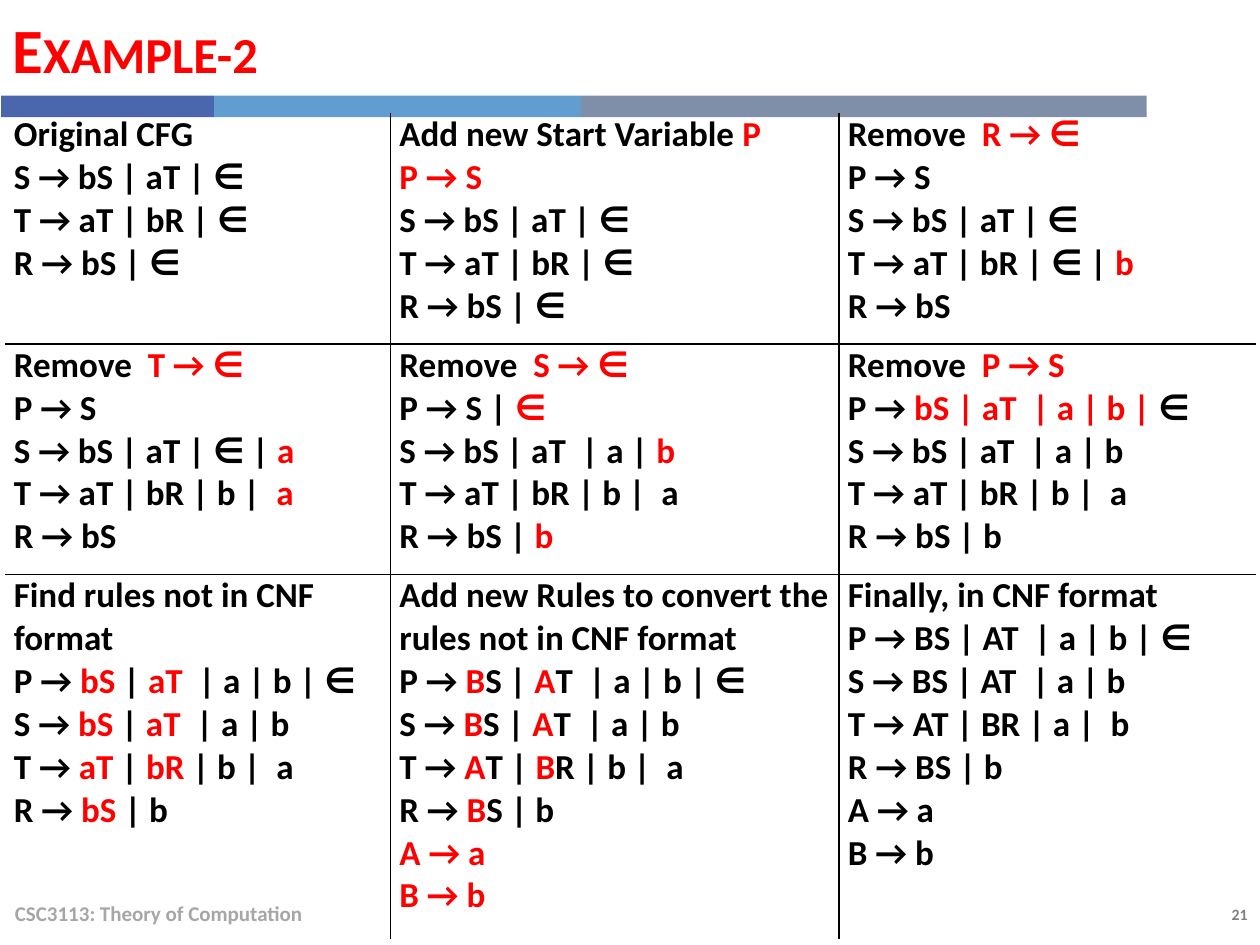
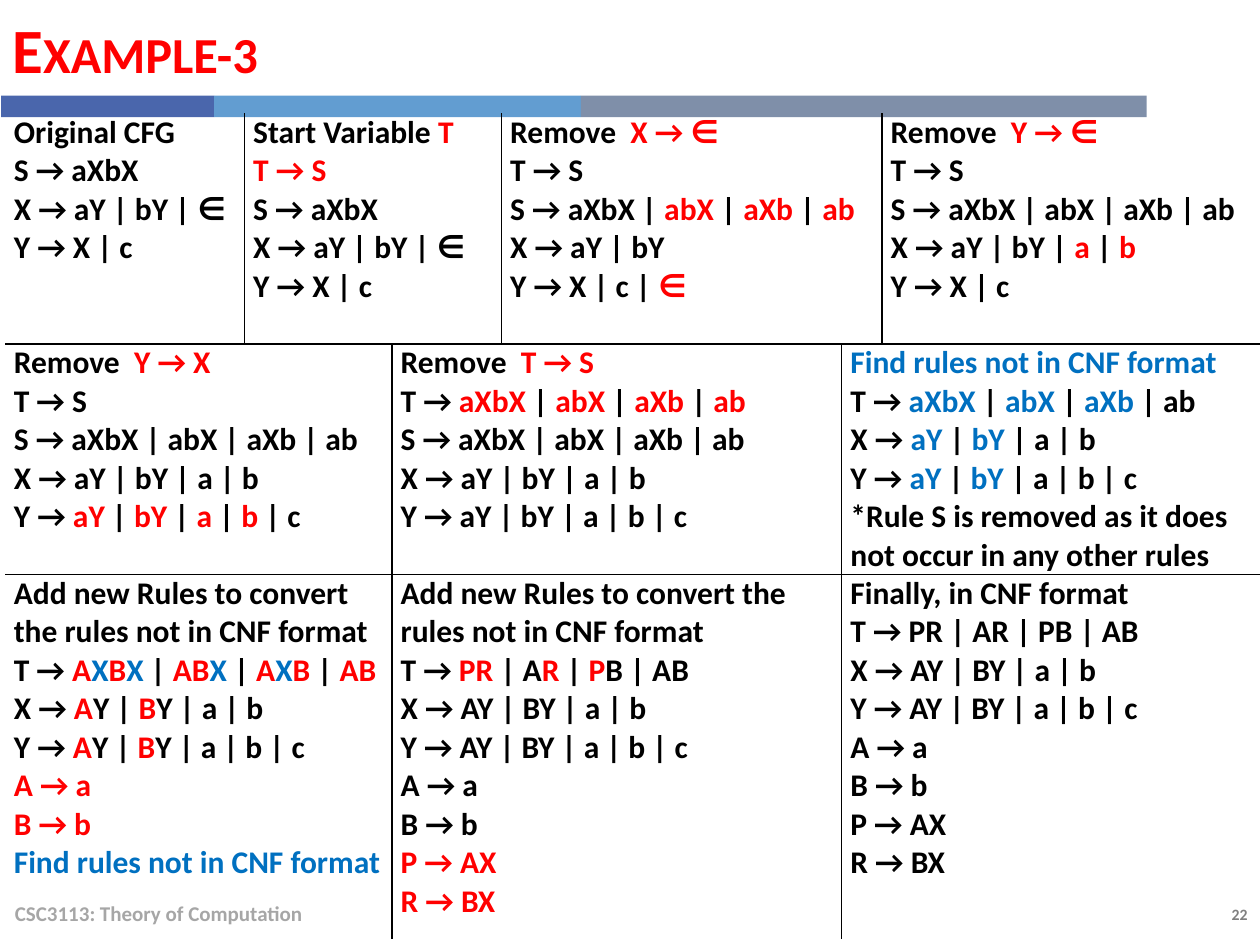
"""Build two slides that turn grammars into Chomsky normal form."""
from lxml import etree
from pptx import Presentation
from pptx import util as u
from pptx.dml.color import RGBColor
from pptx.enum import shapes, text
from pptx.oxml import ns

SCALE = 9144
FONT = "Calibri"
COLORS = {
    "red": "FF0000",
    "blue": "0070C0",
    "black": "000000",
    "foot": "A6A6A6",
    "page": "808080",
    "navy": "4A66AC",
    "sky": "629DD1",
    "slate": "7F8FA9",
}
MARKS = {"{": "red", "<": "blue", "}": "black", ">": "black"}
BANDS = [("navy", 1, 170), ("sky", 170, 461), ("slate", 461, 910)]
ROWS = [183, 183, 289]

CELLS_2 = [
    [
        ["Original CFG", "S → bS | aT | ∈", "T → aT | bR | ∈", "R → bS | ∈"],
        ["Add new Start Variable {P}", "{P → S}", "S → bS | aT | ∈",
         "T → aT | bR | ∈", "R → bS | ∈"],
        ["Remove  {R → ∈}", "P → S", "S → bS | aT | ∈",
         "T → aT | bR | ∈ | {b}", "R → bS"],
    ],
    [
        ["Remove  {T → ∈}", "P → S", "S → bS | aT | ∈ | {a}",
         "T → aT | bR | b |  {a}", "R → bS"],
        ["Remove  {S → ∈}", "P → S | {∈}", "S → bS | aT  | a | {b}",
         "T → aT | bR | b |  a", "R → bS | {b}"],
        ["Remove  {P → S}", "P → {bS | aT  | a | b | }∈",
         "S → bS | aT  | a | b", "T → aT | bR | b |  a", "R → bS | b"],
    ],
    [
        ["Find rules not in CNF format", "P → {bS} | {aT}  | a | b | ∈",
         "S → {bS} | {aT}  | a | b", "T → {aT} | {bR }| b |  a",
         "R → {bS }| b"],
        ["Add new Rules to convert the rules not in CNF format",
         "P → {B}S | {A}T  | a | b | ∈", "S → {B}S | {A}T  | a | b",
         "T → {A}T | {B}R | b |  a", "R → {B}S | b", "{A → a}", "{B → b}"],
        ["Finally, in CNF format", "P → BS | AT  | a | b | ∈",
         "S → BS | AT  | a | b", "T → AT | BR | a |  b", "R → BS | b",
         "A → a", "B → b"],
    ],
]

CELLS_3 = [
    [
        ["Original CFG", "S → aXbX", "X → aY | bY | ∈", "Y → X | c"],
        ["Start Variable {T}", "{T → S}", "S → aXbX", "X → aY | bY | ∈",
         "Y → X | c"],
        ["Remove  {X → ∈}", "T → S", "S → aXbX | {abX} | {aXb} | {ab}",
         "X → aY | bY", "Y → X | c | {∈}"],
        ["Remove  {Y → ∈}", "T → S", "S → aXbX | abX | aXb | ab",
         "X → aY | bY | {a} | {b}", "Y → X | c"],
    ],
    [
        ["Remove  {Y → X}", "T → S", "S → aXbX | abX | aXb | ab",
         "X → aY | bY | a | b", "Y → {aY} | {bY} | {a} | {b} | c"],
        ["Remove  {T → S}", "T → {aXbX} | {abX} | {aXb} | {ab}",
         "S → aXbX | abX | aXb | ab", "X → aY | bY | a | b",
         "Y → aY | bY | a | b | c"],
        ["<Find rules not in CNF format>",
         "T → <aXbX> | <abX> | <aXb> | ab", "X → <aY> | <bY> | a | b",
         "Y → <aY> | <bY> | a | b | c",
         "*Rule S is removed as it does not occur in any other rules"],
    ],
    [
        ["Add new Rules to convert the rules not in CNF format",
         "T → {A}<X>{B}<X> | {AB}<X> | {A}<X>{B} | {AB}",
         "X → {A}Y | {B}Y | a | b", "Y → {A}Y | {B}Y | a | b | c",
         "{A → a}", "{B → b}", "<Find rules not in CNF format>"],
        ["Add new Rules to convert the rules not in CNF format",
         "T → {PR} | A{R} | {P}B | AB", "X → AY | BY | a | b",
         "Y → AY | BY | a | b | c", "A → a", "B → b", "{P → AX}",
         "{R → BX}"],
        ["Finally, in CNF format", "T → PR | AR | PB | AB",
         "X → AY | BY | a | b", "Y → AY | BY | a | b | c", "A → a",
         "B → b", "P → AX", "R → BX"],
    ],
]


def px(num):
    """Turn px into EMU."""
    return u.Emu(num * SCALE)


def tint(name):
    """Look up a named colour."""
    return RGBColor.from_string(COLORS[name])


def style(para, size):
    """Set the bold deck font on a paragraph."""
    para.font.name = FONT
    para.font.size = u.Pt(size)
    para.font.bold = True


def split(line):
    """Yield the text and colour name of each marked part of a line."""
    part, color = "", "black"
    for char in line:
        if char in MARKS:
            if part:
                yield part, color
            part, color = "", MARKS[char]
        else:
            part += char
    if part:
        yield part, color


def add_label(slide, box, words, size, color):
    """Add a one-line text box and return its paragraph."""
    frame = slide.shapes.add_textbox(*map(px, box)).text_frame
    frame.word_wrap = True
    frame.vertical_anchor = text.MSO_ANCHOR.MIDDLE
    para = frame.paragraphs[0]
    para.text = words
    style(para, size)
    para.font.color.rgb = tint(color)
    return para


def add_bands(slide):
    """Draw the three bands under the title."""
    for color, left, right in BANDS:
        band = slide.shapes.add_shape(
            shapes.MSO_SHAPE.RECTANGLE, px(left), px(76), px(right - left), px(17))
        band.shadow.inherit = False
        band.fill.solid()
        band.fill.fore_color.rgb = tint(color)
        band.line.fill.background()


def add_frame(deck, title, page):
    """Add a slide with title, bands, footer and page number."""
    slide = deck.slides.add_slide(deck.slide_layouts[6])
    add_label(slide, (873, 713, 127, 25), str(page), 9, "page").alignment = text.PP_ALIGN.RIGHT
    add_bands(slide)
    add_label(slide, (2, 705, 670, 40), "CSC3113: Theory of Computation", 12, "foot")
    head = add_label(slide, (0, 0, 910, 76), title, 36, "red")
    head.space_before = u.Pt(6)
    head.runs[0].font._element.set("cap", "small")
    return slide


def set_edges(cell, shown):
    """Draw the shown edges of a cell and hide the others."""
    props = cell._tc.get_or_add_tcPr()
    for spot, side in enumerate("LRTB"):
        edge = etree.Element(ns.qn("a:ln" + side), w=str(u.Pt(1)))
        if side in shown:
            fill = etree.SubElement(edge, ns.qn("a:solidFill"))
            etree.SubElement(fill, ns.qn("a:srgbClr"), val=COLORS["black"])
        else:
            etree.SubElement(edge, ns.qn("a:noFill"))
        props.insert(spot, edge)


def fill_cell(cell, lines, size):
    """Write coloured rule lines into a cell."""
    cell.margin_left = cell.margin_right = px(7)
    cell.margin_top = cell.margin_bottom = 0
    frame = cell.text_frame
    for num, line in enumerate(lines):
        para = frame.add_paragraph() if num else frame.paragraphs[0]
        style(para, size)
        for part, color in split(line):
            run = para.add_run()
            run.text = part
            run.font.color.rgb = tint(color)


def add_grid(slide, cols, spans, cells, size):
    """Add the table of steps, ruled only on its inner edges."""
    grid = slide.shapes.add_table(
        len(ROWS), len(cols), px(4), px(90), px(sum(cols)), px(sum(ROWS))).table
    grid.first_row = grid.horz_banding = False
    for col, width in zip(grid.columns, cols):
        col.width = px(width)
    for row, height in zip(grid.rows, ROWS):
        row.height = px(height)
    for cell in grid.iter_cells():
        cell.fill.background()
    for row, (widths, steps) in enumerate(zip(spans, cells)):
        start = 0
        for span, lines in zip(widths, steps):
            end = start + span
            cell = grid.cell(row, start)
            if span > 1:
                cell.merge(grid.cell(row, end - 1))
            fill_cell(cell, lines, size)
            inner = {"L": start > 0, "R": end < len(cols),
                     "T": row > 0, "B": row < len(ROWS) - 1}
            set_edges(cell, [side for side in inner if inner[side]])
            start = end


def main():
    """Build and save the deck."""
    deck = Presentation()
    deck.slide_width, deck.slide_height = px(1000), px(750)
    slide = add_frame(deck, "Example-2", 21)
    add_grid(slide, [306, 356, 331], [[1, 1, 1]] * 3, CELLS_2, 20)
    slide = add_frame(deck, "Example-3", 22)
    add_grid(slide, [190, 117, 87, 270, 32, 300],
             [[1, 2, 2, 1], [2, 2, 2], [2, 2, 2]], CELLS_3, 18)
    deck.save("out.pptx")


if __name__ == "__main__":
    main()
